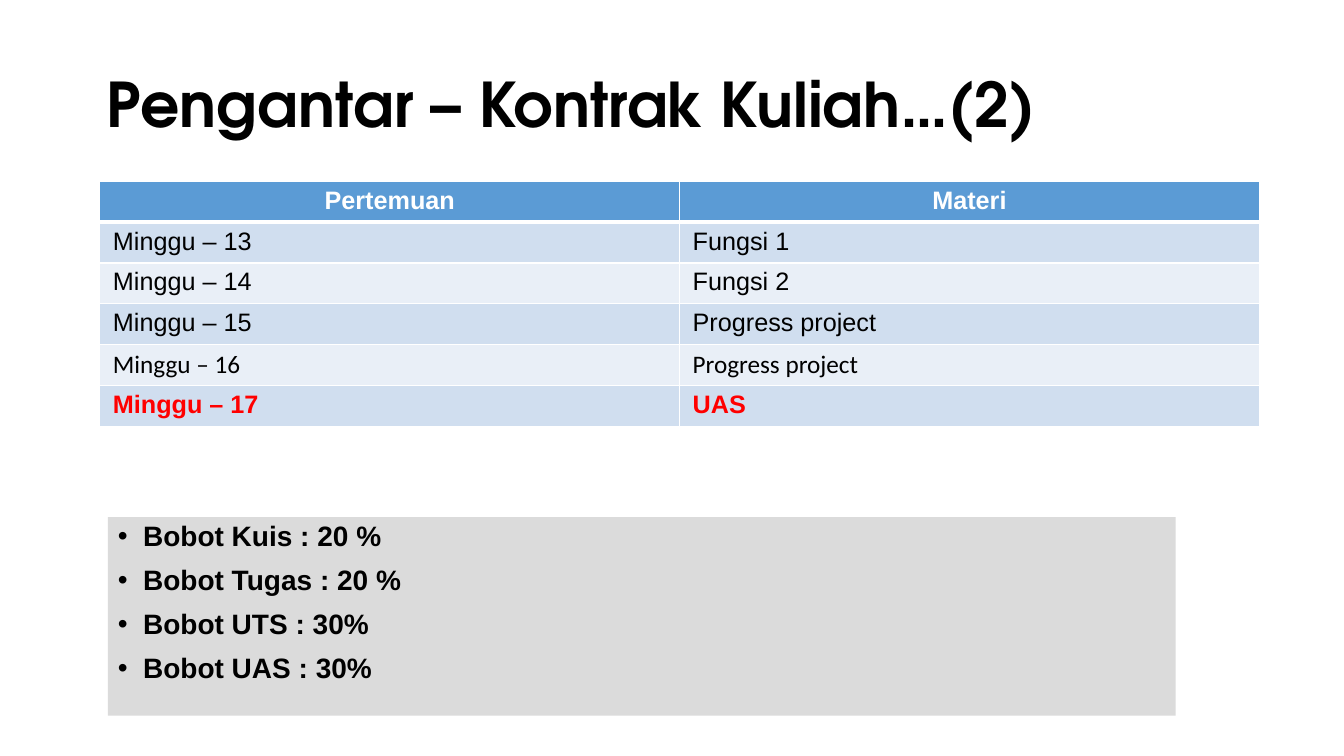
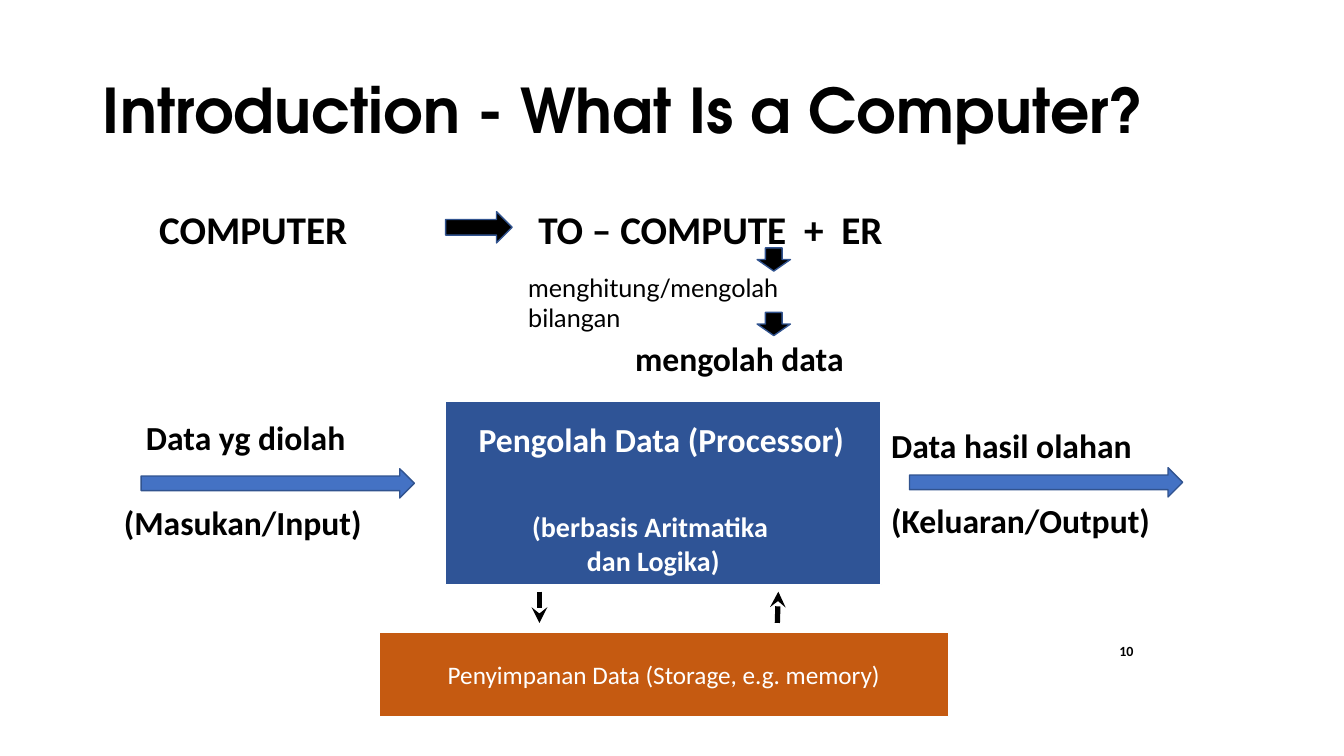
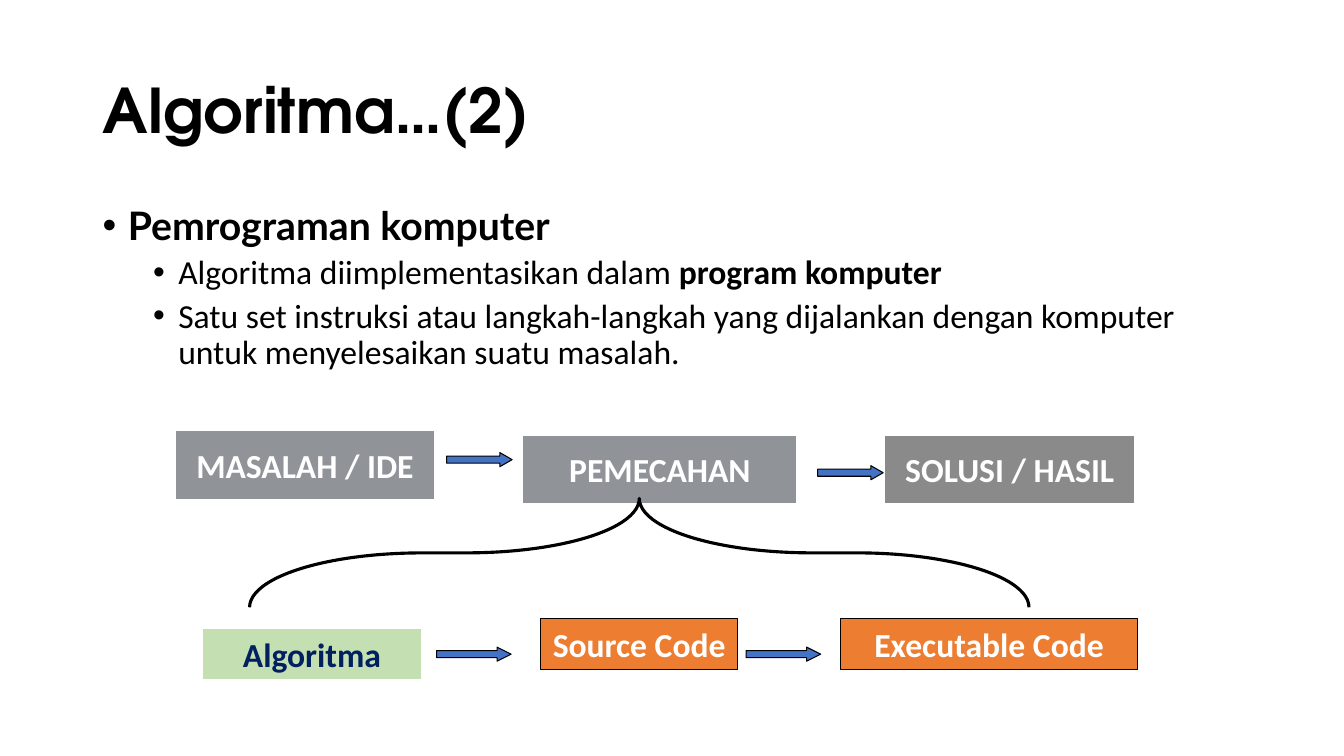
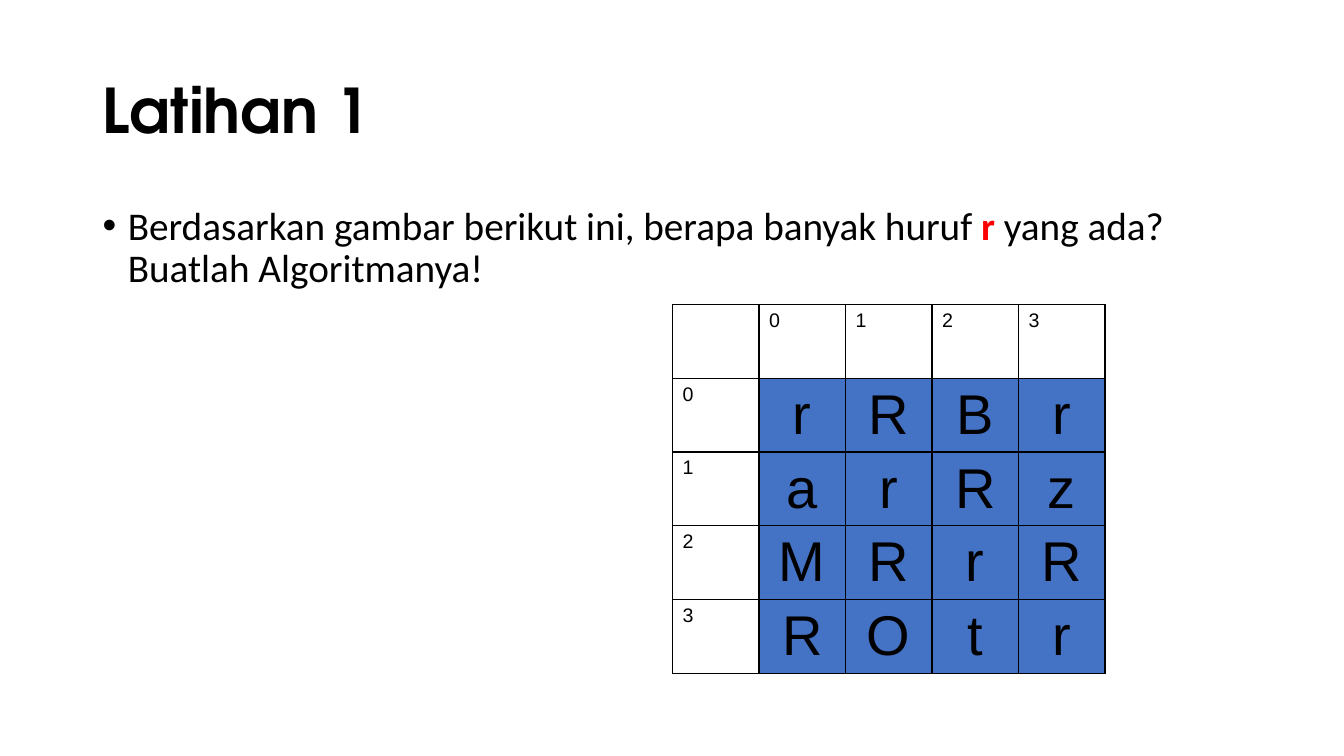
"""Build four lecture slides on computers and algorithms."""
import lxml.etree
import pptx
import pptx.chart.data
import pptx.dml.color
import pptx.enum.shapes
import pptx.enum.text
import pptx.oxml.ns
import pptx.util

Inches = pptx.util.Inches
RGBColor = pptx.dml.color.RGBColor
Shape = pptx.enum.shapes.MSO_SHAPE
Align = pptx.enum.text.PP_ALIGN
Anchor = pptx.enum.text.MSO_ANCHOR
qn = pptx.oxml.ns.qn

BLACK = RGBColor(0x00, 0x00, 0x00)
WHITE = RGBColor(0xFF, 0xFF, 0xFF)
RED = RGBColor(0xFF, 0x00, 0x00)
BLUE = RGBColor(0x44, 0x72, 0xC4)
BLUE_EDGE = RGBColor(0x31, 0x53, 0x8F)
DEEP_BLUE = RGBColor(0x2F, 0x54, 0x96)
NAVY = RGBColor(0x00, 0x20, 0x60)
SLATE = RGBColor(0x22, 0x2A, 0x35)
CHARCOAL = RGBColor(0x17, 0x16, 0x16)
GREY = RGBColor(0xDB, 0xDB, 0xDB)
GREEN = RGBColor(0xC4, 0xE0, 0xB2)
ORANGE = RGBColor(0xED, 0x7D, 0x31)
RUST = RGBColor(0xC5, 0x5A, 0x11)
HEADER = RGBColor(0x5B, 0x9B, 0xD5)
BANDS = (RGBColor(0xE9, 0xEF, 0xF7), RGBColor(0xD0, 0xDE, 0xEF))

TITLE_BOX = (0.92, 0.4, 11.5, 1.45)
BODY_BOX = (0.92, 2, 11.5, 4.76)


def add_child(parent, tag, **attributes):
    """Append an XML element to a parent and return it."""
    return lxml.etree.SubElement(parent, qn(tag), attributes)


def write(para, text, size=24, font="Calibri", color=BLACK, bold=False):
    """Add formatted text to a paragraph, breaking lines at newlines."""
    for index, line in enumerate(text.split("\n")):
        if index:
            para.add_line_break()
        span = para.add_run()
        span.text = line
        span.font.size = pptx.util.Pt(size)
        span.font.name = font
        span.font.color.rgb = color
        span.font.bold = bold


class Deck:
    """Hold the presentation style and the current page."""

    def __init__(self):
        """Start an empty widescreen deck."""
        self.file = pptx.Presentation()
        self.file.slide_width = Inches(13.33)
        self.file.slide_height = Inches(7.5)
        self.page = None

    def new_page(self, title, box=TITLE_BOX):
        """Add a page with a styled title."""
        self.page = self.file.slides.add_slide(self.file.slide_layouts[5])
        holder = self.page.shapes.title
        holder.left, holder.top, holder.width, holder.height = map(Inches, box)
        frame = holder.text_frame
        frame.auto_size = pptx.enum.text.MSO_AUTO_SIZE.NONE
        frame.vertical_anchor = Anchor.MIDDLE
        para = frame.paragraphs[0]
        para.alignment = Align.LEFT
        para.line_spacing = 0.9
        write(para, title, size=44, font="TeX Gyre Adventor", bold=True)

    def shape(self, kind, box, fill=None, line=None, width=1, opacity=None, adjust=()):
        """Draw a preset shape without a shadow."""
        shape = self.page.shapes.add_shape(kind, *map(Inches, box))
        shape.shadow.inherit = False
        for index, value in enumerate(adjust):
            shape.adjustments[index] = value
        if fill is None:
            shape.fill.background()
        else:
            shape.fill.solid()
            shape.fill.fore_color.rgb = fill
        if opacity:
            color = shape._element.spPr.find(qn("a:solidFill"))[0]
            add_child(color, "a:alpha", val=str(opacity * 1000))
        if line is None:
            shape.line.fill.background()
        else:
            shape.line.color.rgb = line
            shape.line.width = pptx.util.Pt(width)
        return shape

    def block(self, box, text, fill, line=WHITE, width=1, opacity=None, **style):
        """Draw a filled rectangle with a centred caption."""
        shape = self.shape(Shape.RECTANGLE, box, fill, line, width, opacity)
        frame = shape.text_frame
        frame.word_wrap = True
        frame.vertical_anchor = Anchor.MIDDLE
        frame.paragraphs[0].alignment = Align.CENTER
        write(frame.paragraphs[0], text, **style)

    def label(self, box, text, align=Align.LEFT, anchor=Anchor.TOP, **style):
        """Place one paragraph of text."""
        frame = self.page.shapes.add_textbox(*map(Inches, box)).text_frame
        frame.word_wrap = True
        frame.vertical_anchor = anchor
        frame.paragraphs[0].alignment = align
        write(frame.paragraphs[0], text, **style)

    def bullets(self, box, items, gap, fill=None):
        """Place a bullet list of (level, spans) items."""
        frame = self.shape(Shape.RECTANGLE, box, fill).text_frame
        frame.word_wrap = True
        frame.vertical_anchor = Anchor.TOP
        for index, (level, spans) in enumerate(items):
            para = frame.add_paragraph() if index else frame.paragraphs[0]
            para.alignment = Align.LEFT
            para.level = level
            para.line_spacing = 0.9
            para.space_before = pptx.util.Pt(gap if index else 0)
            settings = para._p.get_or_add_pPr()
            settings.set("marL", str(Inches(0.25 + 0.5 * level)))
            settings.set("indent", str(Inches(-0.25)))
            color = add_child(settings, "a:buClr")
            add_child(color, "a:srgbClr", val=str(BLACK))
            add_child(settings, "a:buFont", typeface="Arial")
            add_child(settings, "a:buChar", char="•")
            for text, style in spans:
                write(para, text, **style)

    def pointer(self, start, end):
        """Draw a thick line with an arrowhead at its end."""
        line = self.page.shapes.add_connector(
            pptx.enum.shapes.MSO_CONNECTOR.STRAIGHT, *map(Inches, start + end))
        line.line.color.rgb = BLACK
        line.line.width = pptx.util.Pt(3.75)
        properties = line._element.spPr
        add_child(properties.find(qn("a:ln")), "a:tailEnd", type="stealth")
        add_child(properties, "a:effectLst")

    def table(self, box, rows, columns):
        """Add a table with equal rows and columns."""
        table = self.page.shapes.add_table(rows, columns, *map(Inches, box)).table
        for column in table.columns:
            column.width = Inches(box[2] / columns)
        for row in table.rows:
            row.height = Inches(box[3] / rows)
        return table

    def cell(self, cell, text, fill, line, top=1, bottom=1, inset=0.1,
             align=Align.LEFT, anchor=Anchor.TOP, **style):
        """Fill, border and write one table cell."""
        cell.margin_left = cell.margin_right = Inches(inset)
        cell.vertical_anchor = anchor
        properties = cell._tc.get_or_add_tcPr()
        for side, width in (("L", 1), ("R", 1), ("T", top), ("B", bottom)):
            edge = add_child(properties, "a:ln" + side, w=str(pptx.util.Pt(width)))
            add_child(add_child(edge, "a:solidFill"), "a:srgbClr", val=str(line))
        cell.fill.solid()
        cell.fill.fore_color.rgb = fill
        para = cell.text_frame.paragraphs[0]
        para.alignment = align
        if text:
            write(para, text, **style)


def add_contract(deck):
    """Show the weekly plan and the grade weights."""
    deck.new_page("Pengantar – Kontrak Kuliah…(2)", (0.96, 0.61, 11.5, 0.91))
    weights = ("Bobot Kuis : 20 %", "Bobot Tugas : 20 %", "Bobot UTS : 30%", "Bobot UAS : 30%")
    style = dict(size=20, font="Arial", bold=True)
    deck.bullets((1.07, 5.13, 10.59, 1.97), [(0, [(text, style)]) for text in weights],
                 gap=10, fill=GREY)
    plan = (("Pertemuan", "Materi"), ("Minggu – 13", "Fungsi 1"),
            ("Minggu – 14", "Fungsi 2"), ("Minggu – 15", "Progress project"),
            ("Minggu – 16", "Progress project"), ("Minggu – 17", "UAS"))
    special = {0: dict(color=WHITE, bold=True, align=Align.CENTER, bottom=3),
               1: dict(top=3), 4: dict(font="Calibri"), 5: dict(color=RED, bold=True)}
    table = deck.table((0.99, 1.8, 11.5, 2.43), len(plan), 2)
    for row, texts in enumerate(plan):
        style = dict(size=18, font="Arial", inset=0.13) | special.get(row, {})
        fill = BANDS[row % 2] if row else HEADER
        for column, text in enumerate(texts):
            deck.cell(table.cell(row, column), text, fill, WHITE, **style)


def add_computer(deck):
    """Show input, processor, output and storage."""
    deck.new_page("Introduction - What Is a Computer?")
    deck.label((9.15, 6.23, 2.19, 0.46), "10", Align.RIGHT, Anchor.MIDDLE, size=10, bold=True)
    deck.shape(Shape.RECTANGLE, (4.42, 3.98, 4.32, 1.82), DEEP_BLUE, WHITE)
    deck.label((4.31, 4.11, 4.5, 0.5), "Pengolah Data (Processor)", Align.CENTER,
               color=WHITE, bold=True)
    deck.label((4.01, 5.01, 4.94, 0.77), "(berbasis Aritmatika \ndan Logika)", Align.CENTER,
               size=20, color=WHITE, bold=True)
    deck.pointer((5.35, 5.87), (5.35, 6.18))
    deck.pointer((7.71, 6.18), (7.72, 5.87))
    for box, text, size in (
            ((1.48, 1.99, 2.09, 0.57), "COMPUTER", 28),
            ((5.24, 1.99, 3.75, 0.57), "TO – COMPUTE  +  ER", 28),
            ((6.2, 3.3, 2.29, 0.5), "mengolah data", 24),
            ((1.35, 4.09, 2.2, 0.5), "Data yg diolah", 24),
            ((1.13, 4.93, 2.59, 0.5), "(Masukan/Input)", 24),
            ((8.74, 4.17, 2.61, 0.5), "Data hasil olahan", 24),
            ((8.74, 4.91, 2.8, 0.5), "(Keluaran/Output)", 24)):
        deck.label(box, text, size=size, bold=True)
    deck.label((5.14, 2.65, 3.55, 0.4), "menghitung/mengolah bilangan", size=18, font="Lato")
    for kind, box, fill in (
            (Shape.RIGHT_ARROW, (4.42, 2.1, 0.66, 0.31), BLACK),
            (Shape.DOWN_ARROW, (7.51, 2.46, 0.33, 0.23), BLACK),
            (Shape.DOWN_ARROW, (7.51, 3.1, 0.33, 0.23), BLACK),
            (Shape.RIGHT_ARROW, (1.4, 4.65, 2.71, 0.29), BLUE),
            (Shape.RIGHT_ARROW, (9.02, 4.64, 2.71, 0.29), BLUE)):
        deck.shape(kind, box, fill, BLUE_EDGE)
    deck.block((3.76, 6.27, 5.65, 0.84), "Penyimpanan Data (Storage, e.g. memory)", RUST,
               size=18, color=WHITE)


def add_algorithm(deck):
    """Show the way from a problem to its solution in code."""
    deck.new_page("Algoritma…(2)")
    deck.bullets(BODY_BOX, [
        (0, [("Pemrograman komputer", dict(size=28, font="Lato", bold=True))]),
        (1, [("Algoritma diimplementasikan dalam ", {}), ("program komputer", dict(bold=True))]),
        (1, [("Satu set instruksi atau langkah-langkah yang dijalankan dengan komputer "
              "untuk menyelesaikan suatu masalah.", {})])], gap=5)
    for left, top, width, text, fill in (
            (1.72, 4.26, 2.61, "MASALAH / IDE", SLATE),
            (5.17, 4.3, 2.75, "PEMECAHAN", SLATE),
            (8.76, 4.3, 2.51, "SOLUSI / HASIL", CHARCOAL)):
        deck.block((left, top, width, 0.71), text, fill, width=3, opacity=50,
                   color=WHITE, bold=True)
    for left, top, width, text, fill, line, color in (
            (2.01, 6.24, 2.17, "Algoritma", GREEN, WHITE, NAVY),
            (5.36, 6.14, 1.96, "Source Code", ORANGE, BLACK, WHITE),
            (8.34, 6.14, 2.94, "Executable Code", ORANGE, BLACK, WHITE)):
        deck.block((left, top, width, 0.5), text, fill, line, 0.75, color=color, bold=True)
    for left, top, width, head in ((4.43, 4.49, 0.65, 0.875), (8.11, 4.62, 0.65, 0.875),
                                   (4.33, 6.42, 0.74, 1), (7.4, 6.42, 0.74, 1)):
        deck.shape(Shape.RIGHT_ARROW, (left, top, width, 0.14), BLUE, BLACK, 0.75,
                   adjust=(0.5, head))
    brace = deck.shape(Shape.LEFT_BRACE, (5.8, 1.62, 1.08, 7.73), line=BLACK, width=2.25,
                       adjust=(1.584, 0.5))
    brace.rotation = 90


def add_exercise(deck):
    """Show the letter grid and its question."""
    deck.new_page("Latihan 1")
    style = dict(size=28)
    deck.bullets(BODY_BOX, [(0, [
        ("Berdasarkan gambar berikut ini, berapa banyak huruf ", style),
        ("r", dict(size=28, color=RED, bold=True)),
        (" yang ada? Buatlah Algoritmanya!", style)])], gap=0)
    letters = ("rRBr", "arRz", "MRrR", "ROtr")
    grid = [" 0123"] + [str(index) + line for index, line in enumerate(letters)]
    table = deck.table((6.67, 3.02, 4.29, 3.66), len(grid), len(grid[0]))
    for row, line in enumerate(grid):
        for column, letter in enumerate(line):
            if row and column:
                style = dict(fill=BLUE, size=40, align=Align.CENTER, anchor=Anchor.MIDDLE)
            else:
                style = dict(fill=WHITE, size=14)
            deck.cell(table.cell(row, column), letter.strip(), line=BLACK, font="Arial", **style)


def main():
    """Build and save the deck."""
    deck = Deck()
    for add_page in (add_contract, add_computer, add_algorithm, add_exercise):
        add_page(deck)
    deck.file.save("out.pptx")


if __name__ == "__main__":
    main()
